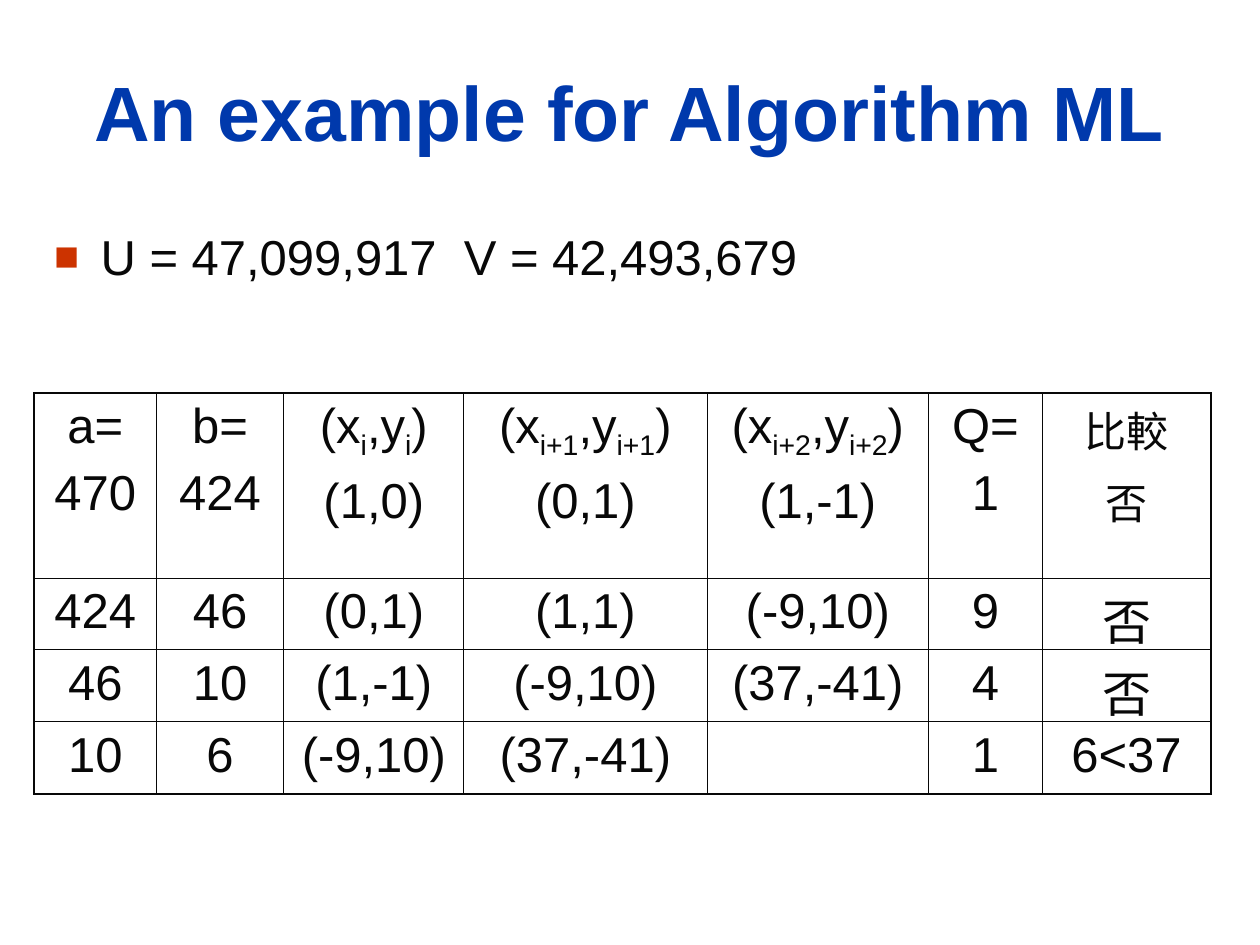
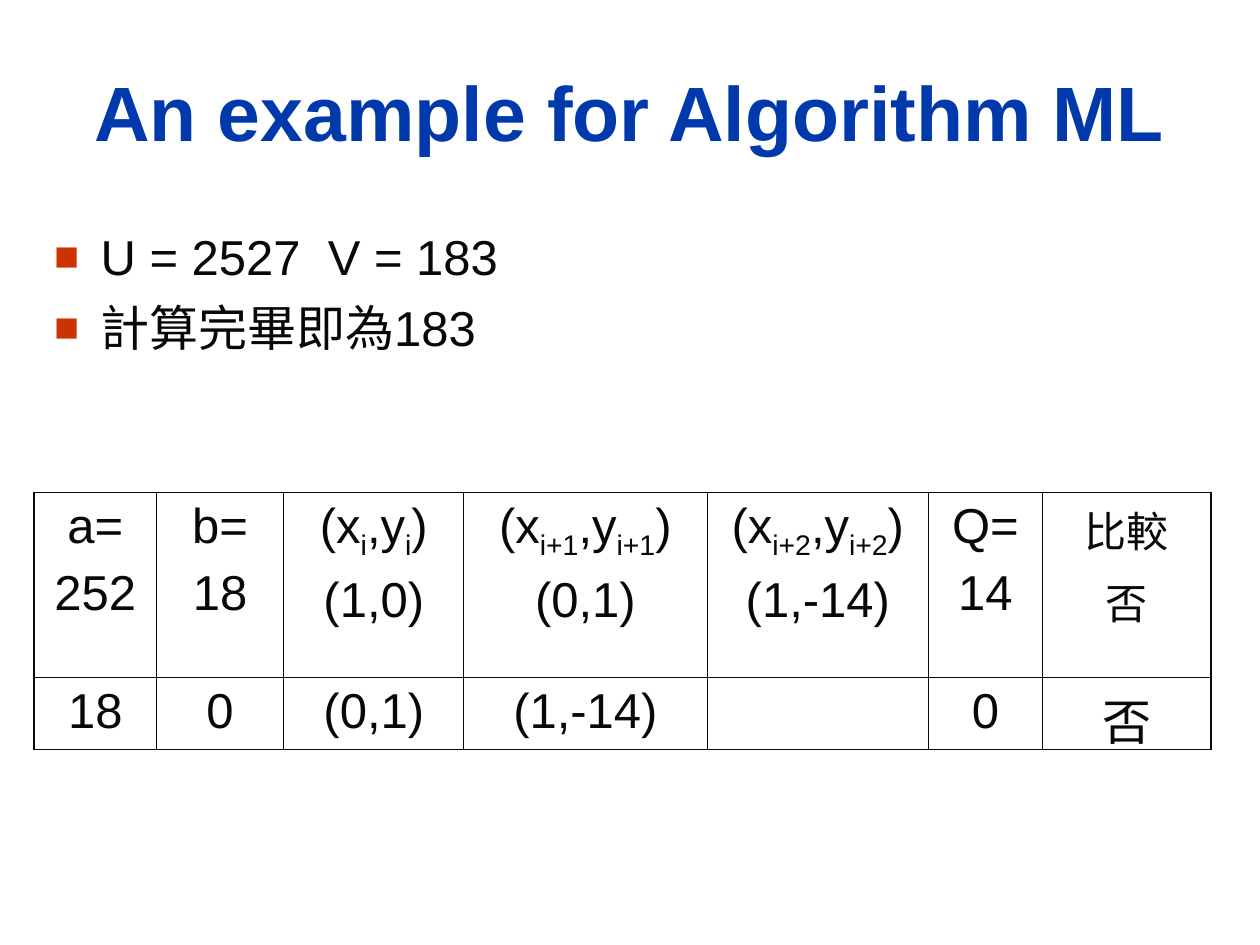
from lxml import etree
from pptx import Presentation
from pptx.dml.color import RGBColor
from pptx.enum.text import MSO_ANCHOR as Anchor, PP_ALIGN as Align
from pptx.oxml.ns import qn
from pptx.util import Cm, Pt

COLORS = {"title": "0039AC", "text": "080808", "bullet": "CC3300"}
FONT = "Arial"
LEFT, WIDTH = 0.84, 23.72
TABLE_LEFT = 0.69
COLUMN_WIDTHS = [2.46, 2.57, 3.63, 4.9, 4.47, 2.29, 3.4]
HEADER_HEIGHT, ROW_HEIGHT = 3.73, 1.45
OUTER_LINE, INNER_LINE = 1.08, 0.45
BODY_SIZE, COMPARISON_SIZE = 28, 24
WIDE_SPACE = 7.8  # extra points after the space between U and V


def style(paragraph, size, color="text", bold=False):
    font = paragraph.font
    font.name, font.size, font.bold = FONT, Pt(size), bold
    font.color.rgb = RGBColor.from_string(COLORS[color])


def add_child(parent, tag, **attributes):
    return etree.SubElement(parent, qn(tag), attributes)


def add_text_frame(slide, top, height):
    frame = slide.shapes.add_textbox(Cm(LEFT), Cm(top), Cm(WIDTH), Cm(height)).text_frame
    frame.word_wrap = True
    return frame


def write_paragraphs(frame, lines):
    """Write one paragraph per line and yield each with its line."""
    for index, line in enumerate(lines):
        paragraph = frame.add_paragraph() if index else frame.paragraphs[0]
        yield index, paragraph, line


def add_title(slide, title):
    frame = add_text_frame(slide, 0.64, 3.18)
    frame.vertical_anchor = Anchor.MIDDLE
    heading = frame.paragraphs[0]
    heading.text = title
    heading.alignment = Align.CENTER
    style(heading, 44, "title", bold=True)


def set_bullet(paragraph):
    properties = paragraph._p.get_or_add_pPr()
    properties.set("marL", str(Cm(0.94)))
    properties.set("indent", str(Cm(-0.94)))
    add_child(add_child(properties, "a:buClr"), "a:srgbClr", val=COLORS["bullet"])
    add_child(properties, "a:buSzPct", val="85000")
    add_child(properties, "a:buFont", typeface=FONT)
    add_child(properties, "a:buChar", char="■")


def add_bullets(slide, bullets):
    """Each bullet is a list of parts, set apart by a wide space."""
    frame = add_text_frame(slide, 4.45, 4.88)
    for index, paragraph, parts in write_paragraphs(frame, bullets):
        set_bullet(paragraph)
        for position, part in enumerate(parts):
            if position:
                gap = paragraph.add_run()
                gap.text = " "
                gap.font._element.set("spc", str(round(WIDE_SPACE * 100)))
            paragraph.add_run().text = part
        if index:
            paragraph.space_before = Pt(7)
        style(paragraph, BODY_SIZE)


def pair(index):
    """Parts of the label (x,y); every second part is a subscript."""
    return ["(x", index, ",y", index, ")"]


def set_borders(cell, outer_sides):
    properties = cell._tc.get_or_add_tcPr()
    for side in "LRTB":
        width = OUTER_LINE if side in outer_sides else INNER_LINE
        line = add_child(properties, f"a:ln{side}", w=str(Pt(width)))
        add_child(add_child(line, "a:solidFill"), "a:srgbClr", val=COLORS["text"])


def fill_cell(cell, lines, size):
    for index, paragraph, line in write_paragraphs(cell.text_frame, lines):
        parts = [line] if isinstance(line, str) else line
        for position, part in enumerate(parts):
            run = paragraph.add_run()
            run.text = part
            if position % 2:
                run.font._element.set("baseline", "-25000")
        paragraph.alignment = Align.CENTER
        if index:
            paragraph.space_before = Pt(size / 4)
        style(paragraph, size)


def add_steps_table(slide, top, steps):
    """Show the steps; the first shares its row with the column labels."""
    labels = ["a=", "b=", pair("i"), pair("i+1"), pair("i+2"), "Q=", "比較"]
    heights = [HEADER_HEIGHT] + [ROW_HEIGHT] * (len(steps) - 1)
    last_row, last_column = len(steps) - 1, len(labels) - 1
    table = slide.shapes.add_table(
        len(steps), len(labels), Cm(TABLE_LEFT), Cm(top),
        Cm(sum(COLUMN_WIDTHS)), Cm(sum(heights))).table
    table.first_row = table.horz_banding = False
    for column, width in zip(table.columns, COLUMN_WIDTHS):
        column.width = Cm(width)
    for r, (step, height) in enumerate(zip(steps, heights)):
        table.rows[r].height = Cm(height)
        for c, value in enumerate(step):
            cell = table.cell(r, c)
            edges = {"L": c == 0, "R": c == last_column, "T": r == 0, "B": r == last_row}
            set_borders(cell, [side for side, is_outer in edges.items() if is_outer])
            cell.fill.background()
            is_comparison_label = r == 0 and c == last_column
            size = COMPARISON_SIZE if is_comparison_label else BODY_SIZE
            fill_cell(cell, [labels[c], value] if r == 0 else [value], size)


def add_example(deck, bullets, table_top, steps):
    slide = deck.slides.add_slide(deck.slide_layouts[6])
    add_title(slide, "An example for Algorithm ML")
    add_bullets(slide, bullets)
    add_steps_table(slide, table_top, steps)


def main():
    deck = Presentation()
    deck.slide_width, deck.slide_height = Cm(25.4), Cm(19.05)
    add_example(deck, [["U = 47,099,917", "V = 42,493,679"]], 7.92, [
        ["470", "424", "(1,0)", "(0,1)", "(1,-1)", "1", "否"],
        ["424", "46", "(0,1)", "(1,1)", "(-9,10)", "9", "否"],
        ["46", "10", "(1,-1)", "(-9,10)", "(37,-41)", "4", "否"],
        ["10", "6", "(-9,10)", "(37,-41)", "", "1", "6<37"],
    ])
    add_example(deck, [["U = 2527", "V = 183"], ["計算完畢即為183"]], 9.93, [
        ["252", "18", "(1,0)", "(0,1)", "(1,-14)", "14", "否"],
        ["18", "0", "(0,1)", "(1,-14)", "", "0", "否"],
    ])
    deck.save("out.pptx")


if __name__ == "__main__":
    main()
